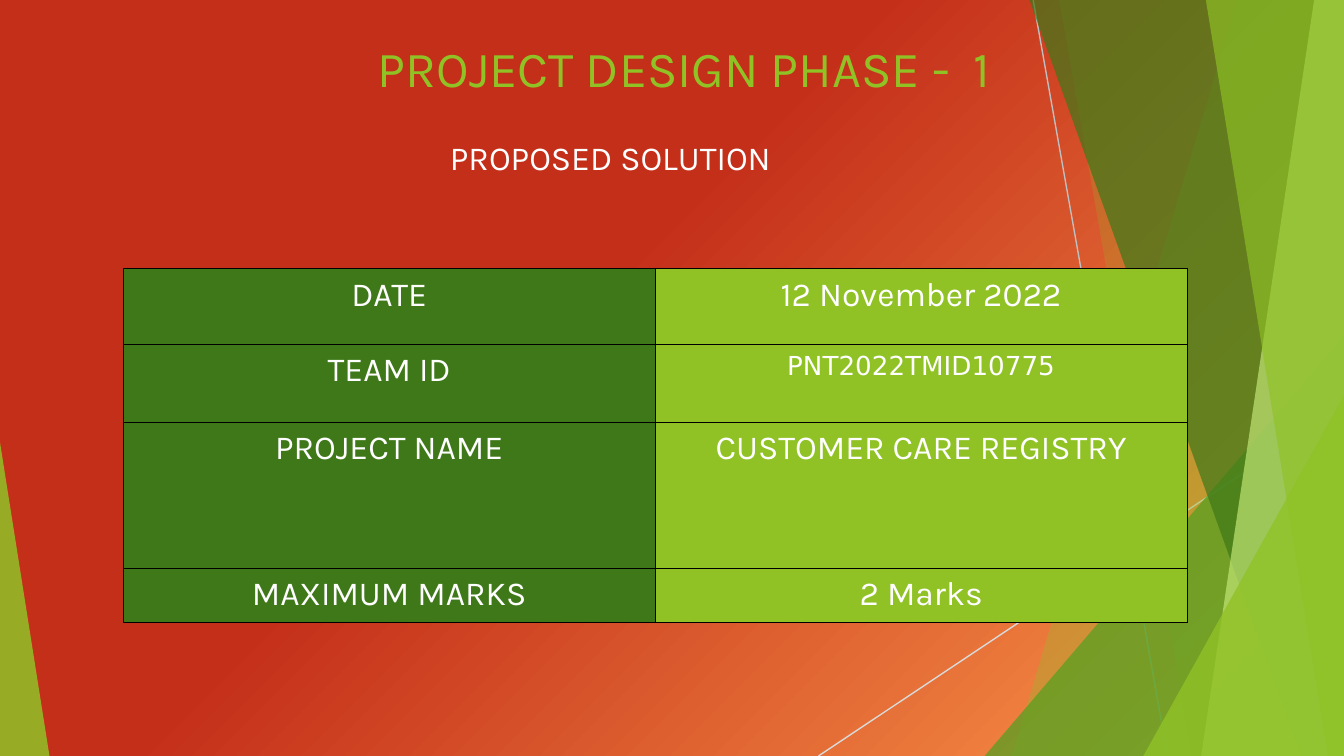
from lxml import etree
from pptx import Presentation
from pptx.dml.color import RGBColor as RGB
from pptx.enum.shapes import MSO_CONNECTOR as LINK, MSO_SHAPE as SHAPE
from pptx.enum.text import MSO_ANCHOR as ANCHOR, PP_ALIGN as ALIGN
from pptx.oxml import parse_xml
from pptx.oxml.ns import nsdecls, qn
from pptx.util import Pt

INK = {
    "lime": "90C226", "green": "54A021", "dark": "3F7819", "pale": "C0E474",
    "white": "FFFFFF", "black": "000000", "grey": "BFBFBF", "mist": "D9D9D9",
    "orange": "FF9F4D", "red": "C42F1A",
}
WIDE, HIGH = 720, 405


def write(frame, text, size=18, font="Karla", ink="white", align=ALIGN.CENTER):
    frame.word_wrap = True
    para = frame.paragraphs[0]
    para.alignment = align
    run = para.add_run()
    run.text = text
    run.font.size = Pt(size)
    run.font.name = font
    run.font.color.rgb = RGB.from_string(INK[ink])


def paint(shape, ink, alpha):
    """Fill the shape with a colour at an opacity in percent, without a line."""
    shape.shadow.inherit = False
    shape.line.fill.background()
    shape.fill.solid()
    shape.fill.fore_color.rgb = RGB.from_string(INK[ink])
    tint = shape._element.spPr.find(qn("a:solidFill"))[0]
    etree.SubElement(tint, qn("a:alpha")).set("val", str(alpha * 1000))


deck = Presentation()
deck.slide_width, deck.slide_height = Pt(WIDE), Pt(HIGH)
slide = deck.slides.add_slide(deck.slide_layouts[6])
shapes = slide.shapes

# Background: gradient spreading from the lower right corner
stops = "".join(
    f'<a:gs pos="{pos * 1000}"><a:srgbClr val="{INK[ink]}"/></a:gs>'
    for pos, ink in [(0, "orange"), (58, "red"), (100, "red")]
)
slide.element.cSld.insert(0, parse_xml(
    f'<p:bg {nsdecls("p", "a")}><p:bgPr><a:gradFill rotWithShape="1">'
    f'<a:gsLst>{stops}</a:gsLst><a:path path="circle">'
    '<a:fillToRect l="100000" t="100000"/></a:path></a:gradFill>'
    '<a:effectLst/></p:bgPr></p:bg>'
))

# Thin lines
for x1, y1, x2, y2, ink in [
    (553.5, 0, 625.5, HIGH, "grey"),
    (WIDE, 217.5, 438.5, HIGH, "mist"),
]:
    line = shapes.add_connector(LINK.STRAIGHT, Pt(x1), Pt(y1), Pt(x2), Pt(y2))
    line.line.color.rgb = RGB.from_string(INK[ink])
    line.line.width = Pt(0.75)
    etree.SubElement(line._element.spPr, qn("a:effectLst"))

# Facets: bands run from top to bottom along the right edge,
# wedges (left, top, width, tip) stand on the bottom edge
for kind, place, ink, alpha in [
    ("band", (663, 542), "lime", 30),
    ("band", (567.5, 638.5), "lime", 20),
    ("wedge", (527.5, 180, 192.5, 1), "green", 72),
    ("band", (551.5, 697), "dark", 70),
    ("band", (704, 643.5), "pale", 70),
    ("band", (646, 711.5), "lime", 65),
    ("wedge", (612.5, 212, 107.5, 1), "lime", 80),
    ("wedge", (0, 237, 26.5, 0), "lime", 85),
]:
    if kind == "band":
        top, low = place
        path = shapes.build_freeform(Pt(top), 0)
        path.add_line_segments(
            [(Pt(x), Pt(y)) for x, y in [(WIDE, 0), (WIDE, HIGH), (low, HIGH)]]
        )
        facet = path.convert_to_shape()
    else:
        left, top, width, tip = place
        facet = shapes.add_shape(
            SHAPE.ISOSCELES_TRIANGLE, Pt(left), Pt(top), Pt(width), Pt(HIGH - top)
        )
        facet.adjustments[0] = tip
    paint(facet, ink, alpha)

# Headings: box, left and top inset, anchor, text, format
for box, inset, anchor, text, style in [
    ((61, 28.5, 598, 24), (13, 0), ANCHOR.BOTTOM,
     "PROJECT DESIGN PHASE -  1", {"size": 27, "ink": "lime"}),
    ((61, 52.5, 644, 342), (180, 21), ANCHOR.TOP,
     "PROPOSED SOLUTION", {"align": ALIGN.LEFT}),
]:
    frame = shapes.add_textbox(*map(Pt, box)).text_frame
    frame.margin_left, frame.margin_top = map(Pt, inset)
    frame.margin_right = frame.margin_bottom = 0
    frame.vertical_anchor = anchor
    write(frame, text, **style)

# Project table
rows = [
    (40.5, "DATE", "12 November 2022", {}),
    (41.75, "TEAM ID", "PNT2022TMID10775", {"size": 14, "font": "DejaVu Sans"}),
    (78.25, "PROJECT NAME", "CUSTOMER CARE REGISTRY", {}),
    (29, "MAXIMUM MARKS", "2 Marks", {}),
]
total = sum(row[0] for row in rows)
table = shapes.add_table(len(rows), 2, Pt(66), Pt(144), Pt(570), Pt(total)).table
for col in table.columns:
    col.width = Pt(285)
for r, (height, label, value, style) in enumerate(rows):
    table.rows[r].height = Pt(height)
    for c, (text, ink, look) in enumerate(
        [(label, "dark", {}), (value, "lime", style)]
    ):
        cell = table.cell(r, c)
        write(cell.text_frame, text, **look)
        cell.fill.solid()
        cell.fill.fore_color.rgb = RGB.from_string(INK[ink])
        props = cell._tc.get_or_add_tcPr()
        for i, side in enumerate(["lnL", "lnR", "lnT", "lnB"]):
            props.insert(i, parse_xml(
                f'<a:{side} {nsdecls("a")} w="{Pt(0.75)}"><a:solidFill>'
                f'<a:srgbClr val="{INK["black"]}"/></a:solidFill></a:{side}>'
            ))

deck.save("out.pptx")
